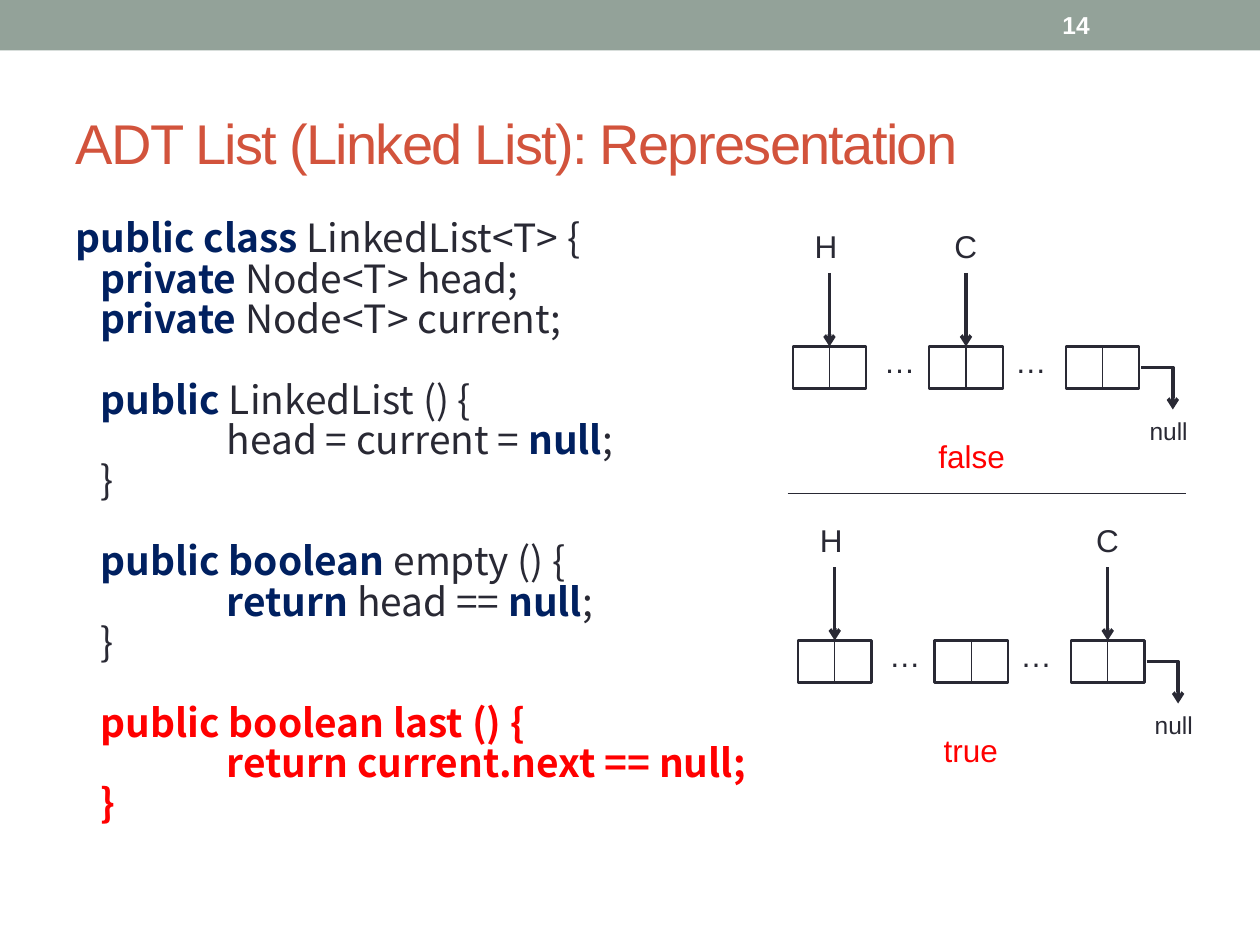
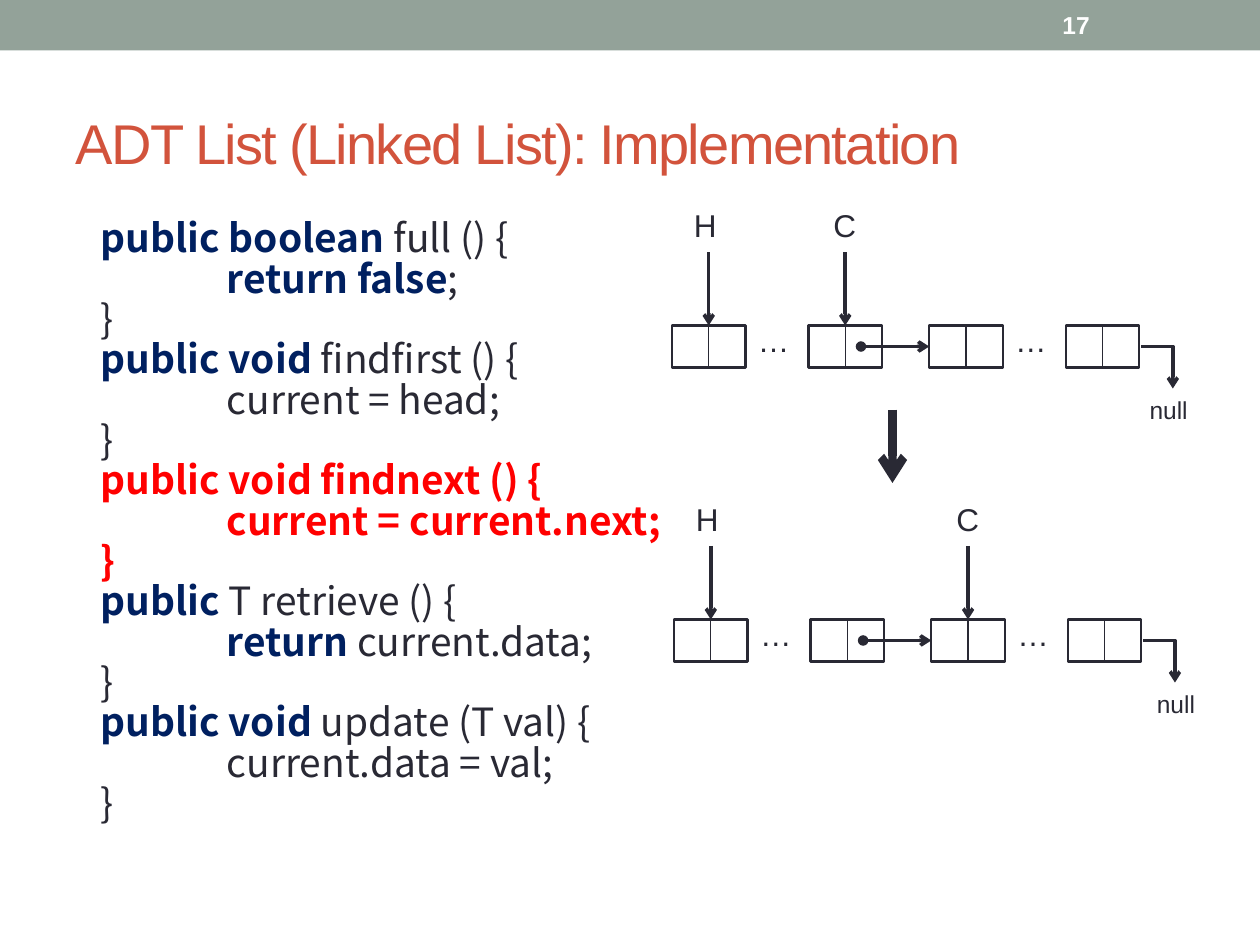
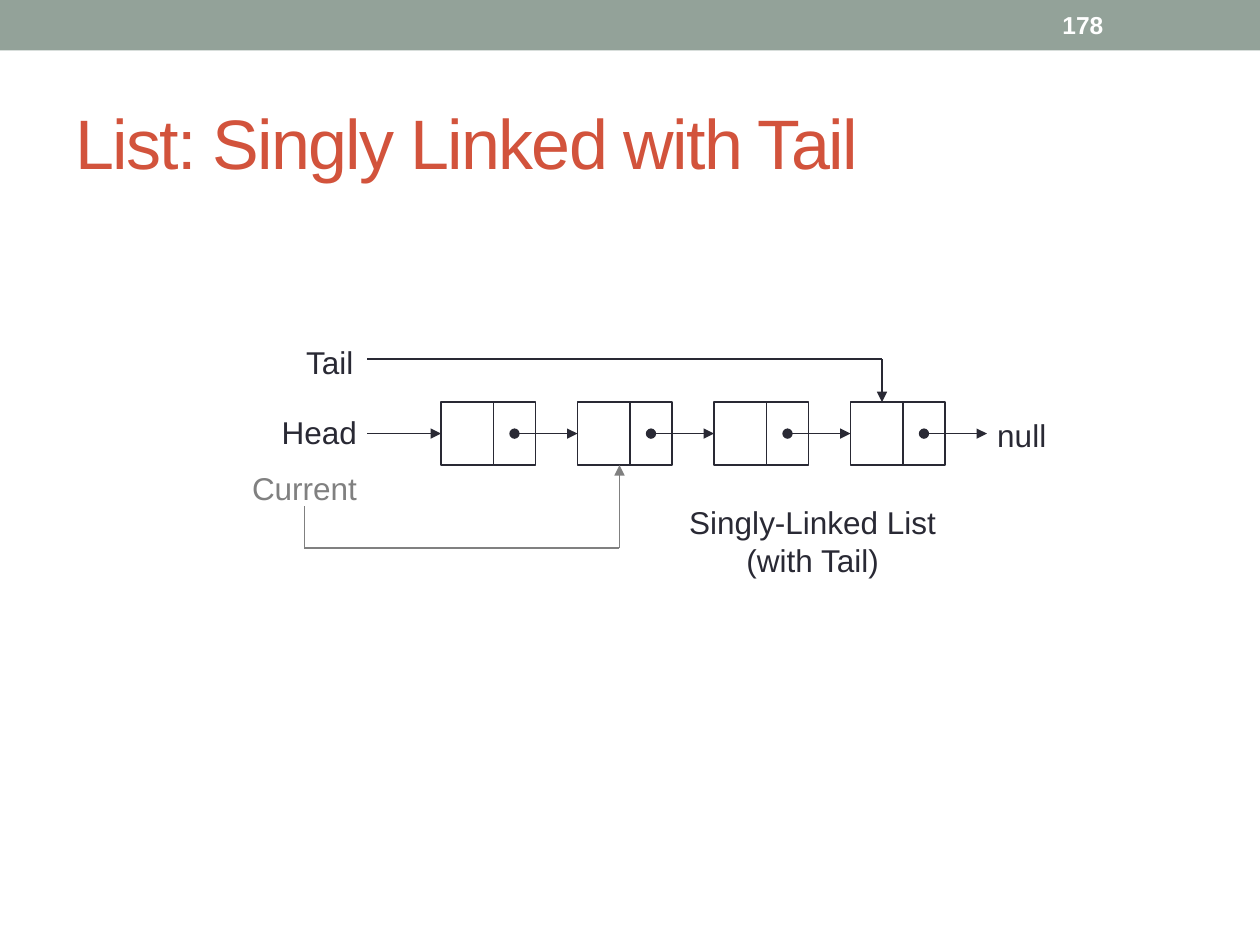
import pptx
import pptx.util
import pptx.dml.color
import pptx.enum.shapes
import pptx.enum.text
import pptx.oxml.ns
import lxml.etree

RGB = pptx.dml.color.RGBColor
SHAPE = pptx.enum.shapes.MSO_SHAPE
LINK = pptx.enum.shapes.MSO_CONNECTOR
FIT = pptx.enum.text.MSO_AUTO_SIZE
MIDDLE = pptx.enum.text.MSO_ANCHOR.MIDDLE
TOP = pptx.enum.text.MSO_ANCHOR.TOP
LEFT = pptx.enum.text.PP_ALIGN.LEFT
CENTER = pptx.enum.text.PP_ALIGN.CENTER
qn = pptx.oxml.ns.qn
Pt = pptx.util.Pt

INK = RGB(0x29, 0x29, 0x34)
NAVY = RGB(0x00, 0x20, 0x60)
RED = RGB(0xFF, 0x00, 0x00)
RUST = RGB(0xD2, 0x53, 0x3C)
SAGE = RGB(0x93, 0xA2, 0x99)
GREY = RGB(0x80, 0x80, 0x80)
WHITE = RGB(0xFF, 0xFF, 0xFF)

SANS = "Arial"
CODE = "Noto Sans CJK SC"
SCALE = 7620
CELL = 70
HIGH = 40
TIGHT = 4.4
LOOSE = 27.5

CLASS = [
    (NAVY, [(0, "*public class *LinkedList<T> {"),
            (1, "*private* Node<T> head;"),
            (1, "*private* Node<T> current;")]),
    (NAVY, [(1, "*public *LinkedList () {"),
            (2, "head = current = *null*;"),
            (1, "}")]),
    (NAVY, [(1, "*public boolean *empty () {"),
            (2, "*return *head == *null*;"),
            (1, "}")]),
    (RED, [(1, "*public boolean last () {*"),
           (2, "*return current.next == null;*"),
           (1, "*}*")]),
]
METHODS = [
    (NAVY, [(1, "*public boolean *full () {"),
            (2, "*return false*;"),
            (1, "}")]),
    (NAVY, [(1, "*public void *findfirst () {"),
            (2, "current = head;"),
            (1, "}")]),
    (RED, [(1, "*public void findnext () {*"),
           (2, "*current = current.next;*"),
           (1, "*}*")]),
    (NAVY, [(1, "*public* T retrieve () {"),
            (2, "*return *current.data;"),
            (1, "}")]),
    (NAVY, [(1, "*public void *update (T val) {"),
            (2, "current.data = val;"),
            (1, "}")]),
]


def px(*sizes):
    return [size * SCALE for size in sizes]


def place(shape, *area):
    shape.left, shape.top, shape.width, shape.height = px(*area)


def paint(font, color, bold=False):
    font.color.rgb = color
    font.bold = bold


def write(slide, text, area, size=18, color=INK, align=LEFT,
          anchor=TOP, bold=False, wrap=False):
    frame = slide.shapes.add_textbox(*px(*area)).text_frame
    frame.text = text
    frame.word_wrap = wrap
    frame.vertical_anchor = anchor
    if anchor == TOP:
        frame.auto_size = FIT.SHAPE_TO_FIT_TEXT
    for para in frame.paragraphs:
        para.alignment = align
        para.font.name = SANS
        para.font.size = Pt(size)
        paint(para.font, color, bold)


def box(slide, area, fill=None, color=None, width=0.75):
    shape = slide.shapes.add_shape(SHAPE.RECTANGLE, *px(*area))
    shape.shadow.inherit = False
    if fill is None:
        shape.fill.background()
    else:
        shape.fill.solid()
        shape.fill.fore_color.rgb = fill
    if color is None:
        shape.line.fill.background()
    else:
        shape.line.color.rgb = color
        shape.line.width = Pt(width)
    return shape


def line(slide, start, end, width=0.75, color=INK, head=None, tail=None,
         goal=None, side=0, bent=False):
    kind = LINK.ELBOW if bent else LINK.STRAIGHT
    link = slide.shapes.add_connector(kind, *px(*start, *end))
    link.line.color.rgb = color
    link.line.width = Pt(width)
    if goal is not None:
        link.end_connect(goal, side)
    props = link.element.spPr
    if bent:
        props.find(qn("a:prstGeom")).set("prst", "bentConnector2")
    for tag, tip in (("a:headEnd", head), ("a:tailEnd", tail)):
        if tip:
            stroke = props.find(qn("a:ln"))
            lxml.etree.SubElement(stroke, qn(tag)).set("type", tip)
    lxml.etree.SubElement(props, qn("a:effectLst"))


def add_band(deck, slide):
    band = box(slide, (0, 0, 1200, 48), SAGE)
    band.element.nvSpPr.cNvPr.id = 99
    deck.slide_master.shapes.element.insert(2, band.element)


def add_slide(deck, layout, title, size, page):
    slide = deck.slides.add_slide(deck.slide_layouts[layout])
    if len(deck.slides) == 1:
        add_band(deck, slide)
    place(slide.shapes.title, 60, 70, 1080, 130)
    frame = slide.shapes.title.text_frame
    frame.text = title
    frame.auto_size = FIT.NONE
    frame.vertical_anchor = MIDDLE
    para = frame.paragraphs[0]
    para.alignment = LEFT
    para.font.name = SANS
    para.font.size = Pt(size)
    para.font.color.rgb = RUST
    para.runs[0]._r.get_or_add_rPr().set("spc", "-100")
    write(slide, page, (1000, 2, 140, 43), 14, WHITE,
          anchor=MIDDLE, bold=True, wrap=True)
    return slide


def add_line(para, text, accent):
    parts = [(part, spot % 2 == 1)
             for spot, part in enumerate(text.split("*")) if part]
    for part, key in parts:
        run = para.add_run()
        run.text = part
        font = para.font if len(parts) == 1 else run.font
        paint(font, accent if key else INK, key)


def add_code(slide, blocks, gap):
    body = slide.placeholders[1]
    place(body, 60, 210, 1080, 640)
    frame = body.text_frame
    frame.auto_size = FIT.NONE
    frame.vertical_anchor = TOP
    para = frame.paragraphs[0]
    for order, (accent, lines) in enumerate(blocks):
        for row, (depth, text) in enumerate(lines):
            if order or row:
                para = frame.add_paragraph()
            para.alignment = LEFT
            para.line_spacing = 0.7
            para.space_before = Pt(gap if order and not row else TIGHT)
            para.font.name = CODE
            para.font.size = Pt(22.2)
            props = para._p.get_or_add_pPr()
            props.set("marL", str((0, 24, 144)[depth] * SCALE))
            props.set("indent", "0")
            props.insert_element_before(
                lxml.etree.Element(qn("a:buNone")),
                "a:tabLst", "a:defRPr", "a:extLst")
            add_line(para, text, accent)


def add_chain(slide, left, top, steps, dots, current, null, link=None):
    middle = top + HIGH // 2
    cells = []
    for step in steps:
        x = left + step
        cells.append(box(slide, (x, top, CELL, HIGH), WHITE, INK, 1.25))
        line(slide, (x + 35, top), (x + 35, top + HIGH))
    for spot, name, shift in ((0, "H", 9), (current, "C", 12)):
        x = left + steps[spot]
        write(slide, name, (x + shift, top - 120, 47, 48))
        line(slide, (x + 35, top - 70), (x + 35, top), 2,
             tail="arrow", goal=cells[spot])
    for dot in dots:
        write(slide, "…", (left + dot, top - 10, 54, 48))
    if link is not None:
        line(slide, (left + steps[link] + 50, middle),
             (left + steps[link + 1], middle), 2,
             head="oval", tail="arrow", goal=cells[link + 1], side=1)
    x = left + steps[-1] + CELL + 2
    line(slide, (x, middle), (x + 30, middle + 40), 2,
         tail="arrow", bent=True)
    write(slide, "null", (null, top + 60, 67, 41), 14)


def add_route(slide, points, color=INK):
    for spot, (start, end) in enumerate(zip(points, points[1:])):
        last = spot == len(points) - 2
        line(slide, start, end, color=color, tail="triangle" if last else None)


def add_nodes(slide):
    top, middle = 383, 413
    start, head = 350, None
    for x in range(420, 811, 130):
        data = box(slide, (x, top, 50, 60), color=INK)
        box(slide, (x + 50, top, 40, 60), color=INK)
        line(slide, (start, middle), (x, middle), head=head,
             tail="triangle", goal=data, side=1)
        start, head = x + 70, "oval"
    line(slide, (start, middle), (start + 60, middle),
         head="oval", tail="triangle")
    add_route(slide, [(350, 342), (840, 342), (840, top)])
    add_route(slide, [(290, 482), (290, 522), (590, 522), (590, 443)], GREY)
    for text, x, y, color in (("Tail", 239, 320, INK),
                              ("Head", 229, 386, INK),
                              ("Current", 215, 440, GREY)):
        write(slide, text, (x, y, 150, 50), 18, color, CENTER, MIDDLE)
    write(slide, "null", (938, 390, 79, 48))
    write(slide, "Singly-Linked List\n(with Tail)",
          (630, 473, 288, 85), align=CENTER)


def main():
    deck = pptx.Presentation()
    deck.slide_width, deck.slide_height = px(1200, 900)

    slide = add_slide(deck, 1, "ADT List (Linked List): Representation",
                      32, "14")
    add_code(slide, CLASS, LOOSE)
    steps, dots = (0, 130, 260), (75, 200)
    add_chain(slide, 755, 330, steps, dots, 1, 1083)
    write(slide, "false", (882, 410, 94, 48), color=RED)
    line(slide, (750, 470), (1130, 470))
    add_chain(slide, 760, 610, steps, dots, 2, 1088)
    write(slide, "true", (887, 690, 84, 48), color=RED)

    slide = add_slide(deck, 1, "ADT List (Linked List): Implementation",
                      32, "17")
    add_code(slide, METHODS, TIGHT)
    steps, dots = (0, 130, 245, 375), (70, 315)
    add_chain(slide, 640, 310, steps, dots, 1, 1083, link=1)
    line(slide, (850, 390), (850, 460), 4.75, tail="arrow")
    add_chain(slide, 642, 590, steps, dots, 2, 1090, link=1)

    slide = add_slide(deck, 5, "List: Singly Linked with Tail", 40, "178")
    add_nodes(slide)

    deck.save("out.pptx")


if __name__ == "__main__":
    main()
